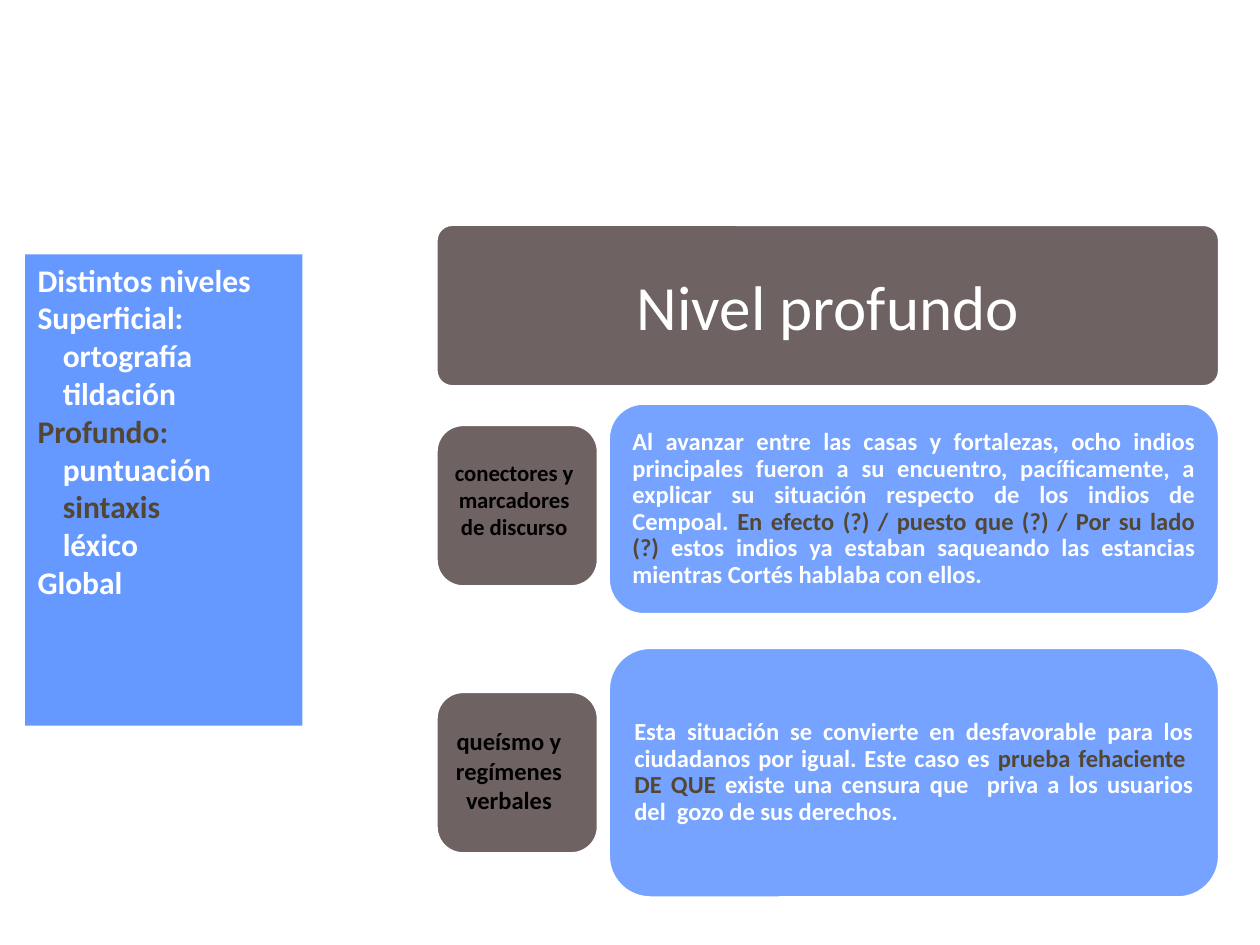
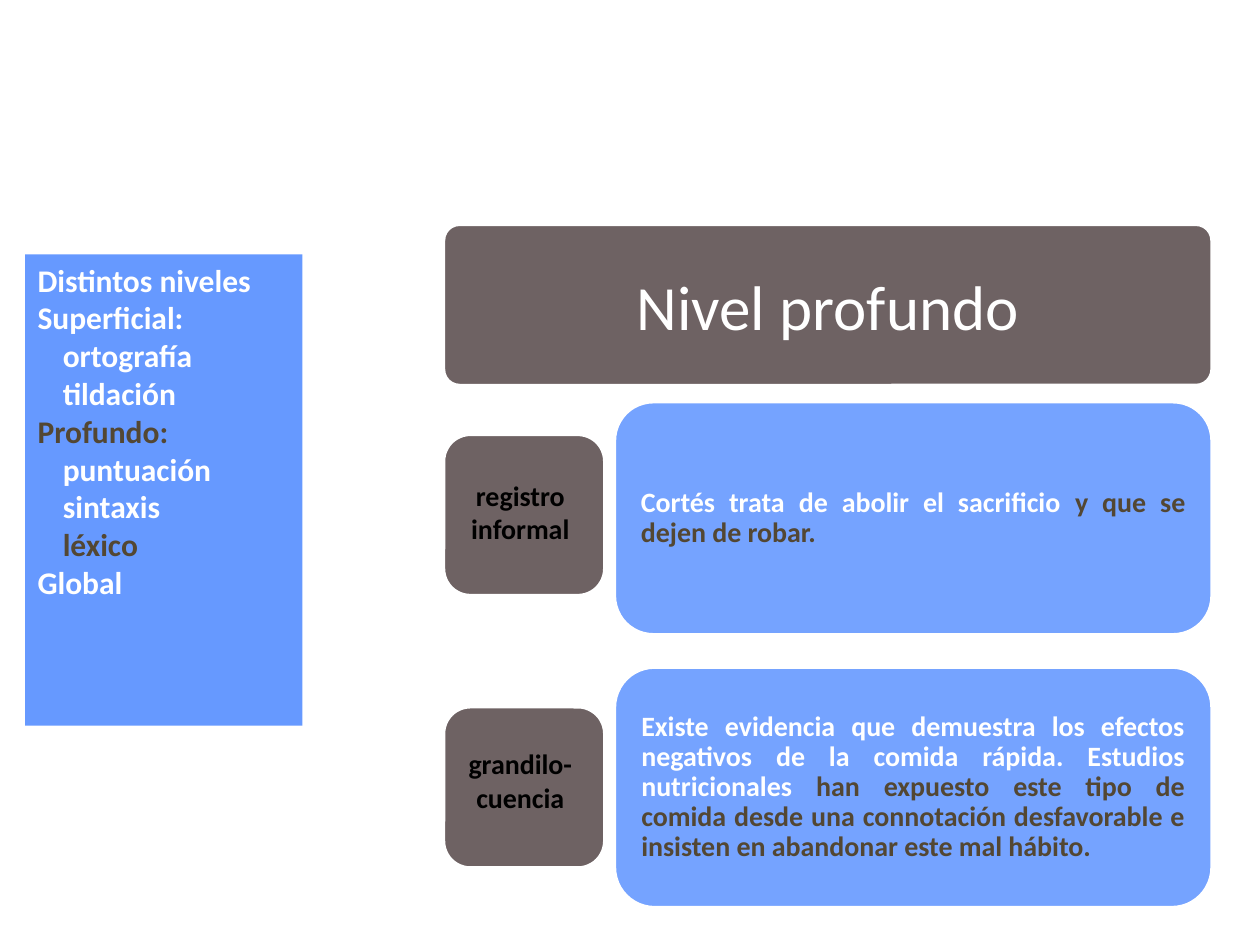
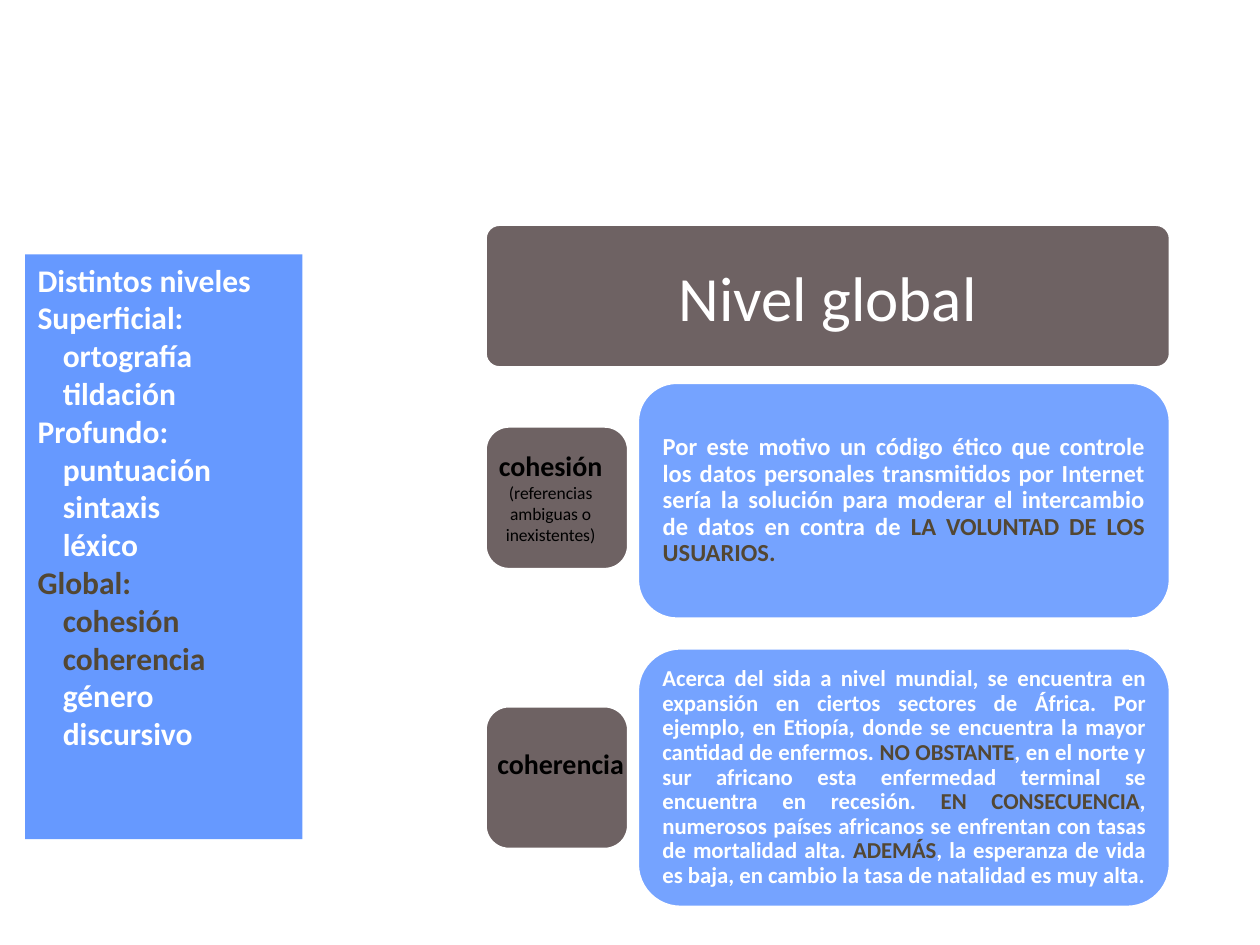
from dataclasses import dataclass

from lxml import etree
from pptx import Presentation, util as u
from pptx.dml.color import RGBColor
from pptx.enum import shapes, text
from pptx.oxml.ns import qn


@dataclass(frozen=True)
class Theme:
    font: str = "Calibri"
    white: str = "FFFFFF"
    black: str = "000000"
    blue: str = "6699FF"
    brown: str = "534733"
    gray: str = "6E6263"
    title: int = 36
    menu: int = 18
    note: int = 10
    edge: int = 2


T = Theme()
KIND = shapes.MSO_SHAPE
ALIGN = text.PP_ALIGN
MID = 6.57      # centre line of the diagram
TOP = 1.78      # top of the diagram
MENU = ["Distintos niveles", "Superficial:", "ortografía tildación", "Profundo:",
        "puntuación", "sintaxis", "léxico"]


@dataclass
class Card:
    label: str
    size: int       # label size
    drop: float     # label offset below the tile's top
    body: str       # accent parts stand between asterisks
    body_size: int
    high: float
    pad: float
    note: str = ""
    wide: float = 1.1


def color(code):
    return RGBColor.from_string(code)


def add_run(par, words, size, tint, bold=True):
    run = par.add_run()
    run.text = words
    font = run.font
    font.name, font.size, font.bold = T.font, u.Pt(size), bold
    font.color.rgb = color(tint)


def add_box(slide, kind, x, y, w, h, fill, round_=None, alpha=None):
    box = slide.shapes.add_shape(kind, *map(u.Inches, (x, y, w, h)))
    box.shadow.inherit = False
    box.fill.solid()
    box.fill.fore_color.rgb = color(fill)
    if alpha:
        tone = box.fill._xPr.find(qn("a:solidFill"))[0]
        etree.SubElement(tone, qn("a:alpha")).set("val", str(alpha * 1000))
    if round_ is None:
        box.line.fill.background()
    else:
        box.adjustments[0] = round_
        box.line.color.rgb = color(T.white)
        box.line.width = u.Pt(T.edge)
    return box


def set_frame(box, side, rise, anchor):
    frame = box.text_frame
    frame.word_wrap = True
    frame.vertical_anchor = anchor
    frame.margin_left = frame.margin_right = u.Inches(side)
    frame.margin_top = frame.margin_bottom = u.Inches(rise)
    return frame


def add_menu(slide, items, hot, high):
    """Side list of levels; items in lower case are indented."""
    box = add_box(slide, KIND.RECTANGLE, 0.2, 2.02, 2.2, high, T.blue)
    frame = set_frame(box, 0.1, 0.05, text.MSO_ANCHOR.TOP)
    for i, item in enumerate(items):
        par = frame.add_paragraph() if i else frame.paragraphs[0]
        par.alignment = ALIGN.LEFT
        if item[0].islower():
            par._p.get_or_add_pPr().set("marL", str(u.Inches(0.2)))
        add_run(par, item, T.menu, T.brown if item in hot else T.white)


def add_head(slide, title, x, wide, high):
    box = add_box(slide, KIND.ROUNDED_RECTANGLE, x, TOP, wide, high, T.gray, 0.1)
    par = set_frame(box, 0.07, 0.05, text.MSO_ANCHOR.MIDDLE).paragraphs[0]
    par.alignment = ALIGN.CENTER
    add_run(par, title, T.title, T.white, False)


def add_body(slide, card, x, y, wide):
    box = add_box(slide, KIND.ROUNDED_RECTANGLE, x, y, wide, card.high,
                  T.blue, 0.167, 90)
    par = set_frame(box, card.pad, card.pad, text.MSO_ANCHOR.MIDDLE).paragraphs[0]
    par.alignment, par.line_spacing = ALIGN.JUSTIFY, 0.9
    for i, part in enumerate(card.body.split("*")):
        if part:
            add_run(par, part, card.body_size, T.brown if i % 2 else T.white)


def add_label(slide, card, x, y):
    box = slide.shapes.add_textbox(*map(u.Inches, (x, y, card.wide, 0.8)))
    frame = set_frame(box, 0.1, 0.05, text.MSO_ANCHOR.TOP)
    par = frame.paragraphs[0]
    par.alignment = ALIGN.CENTER
    add_run(par, card.label, card.size, T.black)
    if card.note:
        par = frame.add_paragraph()
        par.alignment = ALIGN.CENTER
        add_run(par, card.note, T.note, T.black, False)


def add_level(deck, title, wide, unit, shift, cards, items, hot, menu_high=3.74):
    """One slide; unit is the tile side, from which all gaps follow."""
    slide = deck.slides.add_slide(deck.slide_layouts[6])
    add_menu(slide, items, hot, menu_high)
    x = MID - wide / 2
    add_head(slide, title, x, wide, unit)
    y = TOP + 1.1 * unit
    for i, card in enumerate(cards):
        lift = 0 if i else 0.02 * unit
        tile = y + (card.high - unit) / 2 - lift
        add_box(slide, KIND.ROUNDED_RECTANGLE, x, tile, unit, unit, T.gray, 0.167)
        add_body(slide, card, x + 1.06 * unit, y, wide - 1.06 * unit)
        add_label(slide, card, x + shift, tile + card.drop)
        y += card.high + 0.2 * unit


def main():
    deck = Presentation()
    deck.slide_width, deck.slide_height = u.Inches(10), u.Inches(7.5)

    syntax = [
        Card("conectores y marcadores de discurso", 13, 0.22,
             "Al avanzar entre las casas y fortalezas, ocho indios principales fueron "
             "a su encuentro, pacíficamente, a explicar su situación respecto de los "
             "indios de Cempoal. *En efecto (?) / puesto que (?) / Por su lado (?) *"
             "estos indios ya estaban saqueando las estancias mientras Cortés hablaba "
             "con ellos.", 14, 1.68, 0.11, wide=1.18),
        Card("queísmo y regímenes verbales", 14, 0.23,
             "Esta situación se convierte en desfavorable para los ciudadanos por "
             "igual. Este caso es *prueba fehaciente  DE QUE* existe una censura que  "
             "priva a los usuarios del  gozo de sus derechos.", 14, 1.99, 0.11),
    ]
    lexis = [
        Card("registro informal", 16, 0.3,
             "Cortés trata de abolir el sacrificio *y que se dejen de robar.*",
             16, 1.85, 0.12),
        Card("grandilo-cuencia", 16, 0.27,
             "Existe evidencia que demuestra los efectos negativos de la comida "
             "rápida. Estudios nutricionales *han expuesto este tipo de comida desde "
             "una connotación desfavorable e insisten en abandonar este mal hábito.*",
             16, 1.91, 0.12),
    ]
    whole = [
        Card("cohesión", 16, 0.13,
             "Por este motivo un código ético que controle los datos personales "
             "transmitidos por Internet sería la solución para moderar el intercambio "
             "de datos en contra de *LA VOLUNTAD DE LOS USUARIOS.*", 14, 1.88, 0.11,
             note="(referencias ambiguas o inexistentes)"),
        Card("coherencia", 16, 0.27,
             "Acerca del sida a nivel mundial, se encuentra en expansión en ciertos "
             "sectores de África. Por ejemplo, en Etiopía, donde se encuentra la mayor "
             "cantidad de enfermos. *NO OBSTANTE*, en el norte y sur africano esta "
             "enfermedad terminal se encuentra en recesión. *EN CONSECUENCIA*, "
             "numerosos países africanos se enfrentan con tasas de mortalidad alta. "
             "*ADEMÁS*, la esperanza de vida es baja, en cambio la tasa de natalidad "
             "es muy alta.", 13, 2.06, 0.1, wide=1.26),
    ]
    short = MENU + ["Global"]
    full = MENU + ["Global:", "cohesión", "coherencia", "género discursivo"]
    add_level(deck, "Nivel profundo", 6.22, 1.29, 0.03, syntax, short,
              {"Profundo:", "sintaxis"})
    add_level(deck, "Nivel profundo", 6.1, 1.28, 0.06, lexis, short,
              {"Profundo:", "léxico"})
    add_level(deck, "Nivel global", 5.44, 1.14, -0.03, whole, full,
              {"Global:", "cohesión", "coherencia"}, 4.64)
    deck.save("out.pptx")


if __name__ == "__main__":
    main()
